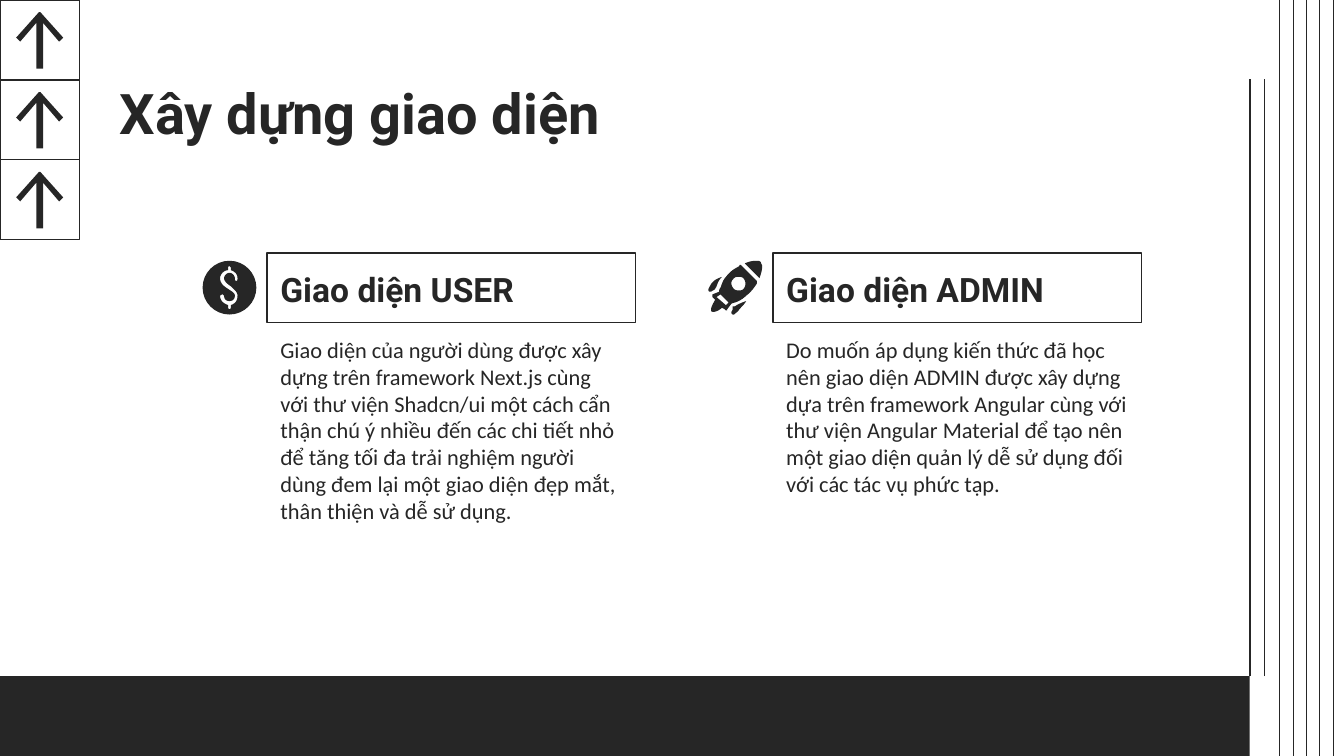
"""Builds the slide on the USER and ADMIN interfaces."""
from lxml import etree
from pptx import Presentation
from pptx import util as u
from pptx.dml.color import RGBColor
from pptx.enum import shapes, text
from pptx.oxml import ns

INK = RGBColor(0x26, 0x26, 0x26)
WHITE = RGBColor(0xFF, 0xFF, 0xFF)
HUNDREDTH_INCH = u.Cm(2.54) / 100
FINE = 100

ARROW = [[(12, 28), (29, 9), (30, 9), (47, 28), (44, 31), (32, 17),
          (32, 51), (27, 51), (27, 17), (15, 31)]]
DOLLAR = [
    [(20, 4), (20, 4, 21, 5, 21, 5), (21, 7), (24, 8, 26, 10, 26, 13),
     (26, 14, 26, 15, 25, 15), (24, 15, 24, 14, 24, 13),
     (24, 11, 22, 9, 20, 9), (18, 9, 16, 11, 16, 13),
     (16, 15, 18, 17, 21, 19), (23, 21, 26, 23, 26, 26),
     (26, 30, 24, 32, 21, 33), (21, 34), (21, 35, 21, 36, 20, 36),
     (19, 36, 19, 35, 19, 34), (19, 33), (16, 32, 13, 30, 13, 26),
     (13, 26, 14, 25, 15, 25), (15, 25, 16, 26, 16, 26),
     (16, 29, 18, 30, 20, 30), (22, 30, 24, 29, 24, 26),
     (24, 24, 22, 23, 19, 21), (16, 19, 13, 17, 13, 13),
     (13, 10, 16, 7, 19, 7), (19, 5), (19, 5, 19, 4, 20, 4)],
    [(20, 0), (9, 0, 0, 9, 0, 20), (0, 31, 9, 40, 20, 40),
     (31, 40, 40, 31, 40, 20), (40, 9, 31, 0, 20, 0)],
]
ROCKET_BODY = [
    [(22, 12), (24, 12, 25, 12, 26, 13), (28, 15, 28, 19, 26, 21),
     (25, 22, 24, 22, 23, 22), (21, 22, 20, 22, 19, 21),
     (18, 20, 17, 18, 17, 17), (17, 15, 18, 14, 19, 13),
     (20, 12, 21, 12, 22, 12)],
    [(9, 25), (15, 31), (13, 33), (6, 27)],
    [(24, 3), (23, 3, 23, 3, 23, 4), (19, 6, 16, 8, 13, 12),
     (11, 14, 10, 17, 9, 20), (8, 21, 8, 22, 8, 23), (3, 25), (3, 27),
     (5, 29), (4, 31, 2, 34, 2, 36), (2, 37), (2, 38, 3, 38, 4, 38),
     (6, 38, 9, 36, 10, 35), (12, 36), (13, 37),
     (14, 37, 14, 37, 14, 36), (17, 32), (17, 32, 19, 31, 20, 31),
     (23, 30, 26, 28, 28, 26), (31, 24, 34, 20, 36, 17),
     (36, 16, 36, 16, 36, 15), (25, 4), (25, 4, 24, 3, 24, 3)],
]
ROCKET_NOSE = [[(36, 0), (32, 0, 29, 1, 27, 2), (38, 13),
                (39, 10, 40, 7, 40, 4), (40, 3, 39, 2, 39, 1),
                (38, 0, 37, 0, 36, 0)]]
ROCKET_LOWER_FIN = [[(28, 30), (25, 31, 23, 32, 21, 33),
                     (20, 34, 19, 34, 18, 34), (18, 36, 18, 37, 17, 38),
                     (17, 38, 17, 39, 17, 39), (18, 40), (19, 40),
                     (20, 39, 22, 38, 23, 36), (25, 34, 27, 32, 28, 30)]]
ROCKET_UPPER_FIN = [[(10, 12), (7, 13, 5, 14, 3, 16), (2, 17, 1, 19, 0, 21),
                     (0, 21, 0, 22, 0, 22), (0, 23, 1, 23, 1, 23),
                     (2, 23), (3, 22, 4, 22, 5, 21),
                     (5, 20, 6, 20, 6, 19), (7, 16, 8, 14, 10, 12)]]


def draw_icon(contours, left, top):
    builder = slide.shapes.build_freeform(
        *(c * FINE for c in contours[0][0]), scale=HUNDREDTH_INCH / FINE)
    for number, contour in enumerate(contours):
        here = contour[0]
        if number:
            builder.move_to(*(c * FINE for c in here))
        points = []
        for step in contour[1:]:
            if len(step) == 2:
                points.append(step)
            else:
                for t in (0.125 * i for i in range(1, 9)):
                    weights = (1 - t) ** 3, 3 * t * (1 - t) ** 2, 3 * t * t * (1 - t), t ** 3
                    points.append([sum(w * c for w, c in zip(weights, (here + step)[axis::2]))
                                   for axis in (0, 1)])
            here = step[-2:]
        builder.add_line_segments([(x * FINE, y * FINE) for x, y in points], close=True)
    icon = builder.convert_to_shape(left, top)
    icon.shadow.inherit = False
    icon.fill.solid()
    icon.fill.fore_color.rgb = INK
    icon.line.fill.background()


def write(box, words, font, anchor=text.MSO_ANCHOR.TOP):
    frame = box.text_frame
    layout = {"word_wrap": True, "vertical_anchor": anchor}
    layout |= {f"margin_{side}": u.Cm(0.25) for side in ("left", "top", "right", "bottom")}
    for key, value in layout.items():
        setattr(frame, key, value)
    paragraph = frame.paragraphs[0]
    paragraph.alignment = text.PP_ALIGN.LEFT
    run = paragraph.add_run()
    run.text = words
    for key, value in font.items():
        setattr(run.font, key, value)
    run.font.color.rgb = INK


deck = Presentation()
deck.slide_width, deck.slide_height = u.Cm(25.4), u.Cm(14.29)
slide = deck.slides.add_slide(deck.slide_layouts[6])
slide.background.fill.solid()
slide.background.fill.fore_color.rgb = WHITE

stripes = [(x, 0, 14.29) for x in (24.18, 24.45, 24.69, 24.94, 25.2)]
stripes += [(x, 1.5, 12.78) for x in (23.62, 23.9)]
for x, top, bottom in stripes:
    stripe = slide.shapes.add_connector(
        shapes.MSO_CONNECTOR.STRAIGHT, u.Cm(x), u.Cm(bottom), u.Cm(x), u.Cm(top))
    stripe.line.color.rgb = INK
    stripe.line.width = u.Pt(0.75)
    etree.SubElement(stripe._element.spPr, ns.qn("a:effectLst"))

footer = slide.shapes.add_shape(
    shapes.MSO_SHAPE.RECTANGLE, 0, u.Cm(12.78), u.Cm(23.62), u.Cm(1.51))
footer.shadow.inherit = False
footer.fill.solid()
footer.fill.fore_color.rgb = INK
footer.line.fill.background()

title = slide.shapes.add_textbox(u.Cm(2.01), u.Cm(1.24), u.Cm(21.41), u.Cm(1.6))
write(title, "Xây dựng giao diện", {"name": "Roboto", "size": u.Pt(30), "bold": True})

frames = [(0, 1.51 * row, 1.5, 1.51) for row in range(3)]
frames += [(x, 4.78, 6.96, 1.32) for x in (5.05, 14.61)]
outlined = []
for place in frames:
    outline = slide.shapes.add_shape(shapes.MSO_SHAPE.RECTANGLE, *map(u.Cm, place))
    outline.shadow.inherit = False
    outline.fill.background()
    outline.line.color.rgb = INK
    outline.line.width = u.Pt(0.75)
    outlined.append(outline)

for cell in outlined[:3]:
    draw_icon(ARROW, cell.left, cell.top)

topics = [
    ("Giao diện USER",
     "Giao diện của người dùng được xây dựng trên framework Next.js cùng với "
     "thư viện Shadcn/ui một cách cẩn thận chú ý nhiều đến các chi tiết nhỏ để "
     "tăng tối đa trải nghiệm người dùng đem lại một giao diện đẹp mắt, thân "
     "thiện và dễ sử dụng.",
     [DOLLAR]),
    ("Giao diện ADMIN",
     "Do muốn áp dụng kiến thức đã học nên giao diện ADMIN được xây dựng dựa "
     "trên framework Angular cùng với thư viện Angular Material để tạo nên một "
     "giao diện quản lý dễ sử dụng đối với các tác vụ phức tạp.",
     [ROCKET_BODY, ROCKET_NOSE, ROCKET_LOWER_FIN, ROCKET_UPPER_FIN]),
]
for heading, (name, description, icon_parts) in zip(outlined[3:], topics):
    write(heading, name, {"name": "Roboto", "size": u.Pt(18), "bold": True},
          text.MSO_ANCHOR.BOTTOM)
    body = slide.shapes.add_textbox(
        heading.left, heading.top + heading.height, heading.width, u.Cm(4.11))
    write(body, description, {"name": "Calibri", "size": u.Pt(12)})
    for part in icon_parts:
        draw_icon(part, heading.left - u.Cm(1.22), u.Cm(4.93))

deck.save("out.pptx")
